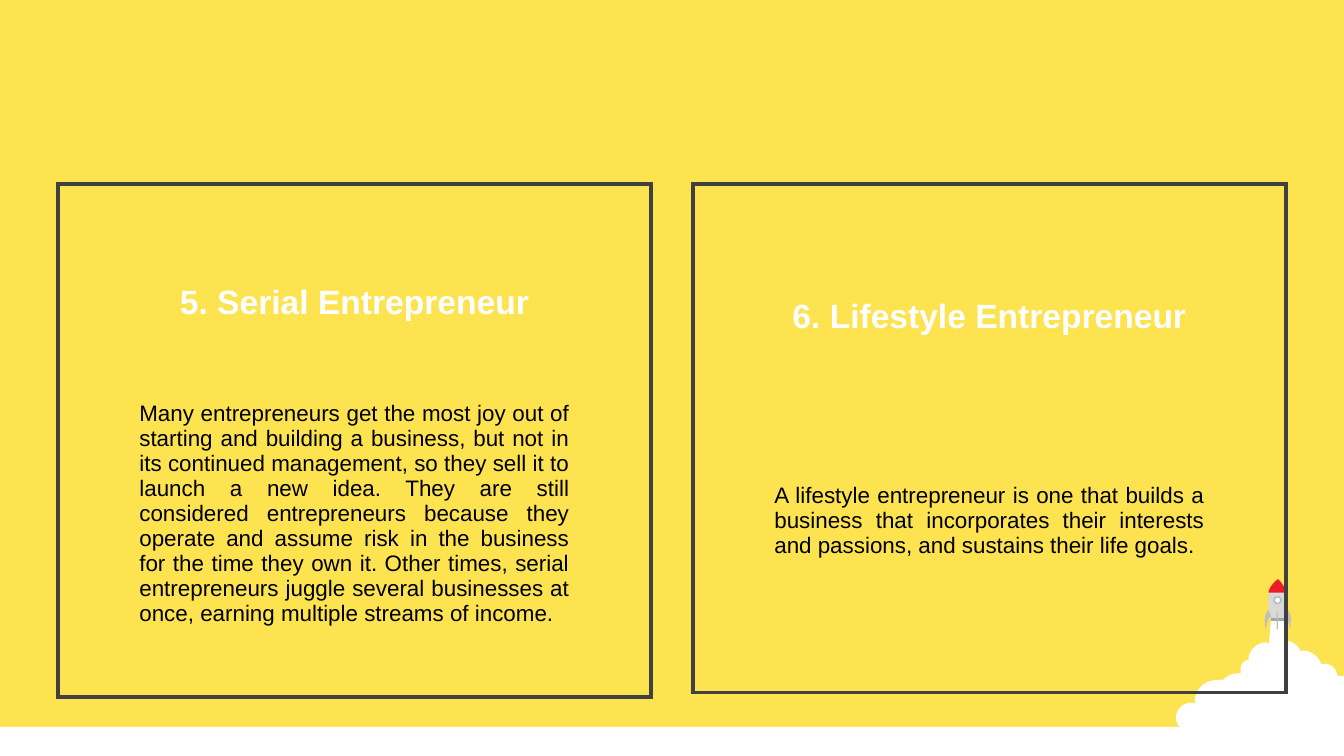
from lxml import etree
from pptx import Presentation
from pptx.dml.color import RGBColor
from pptx.enum.shapes import MSO_SHAPE
from pptx.enum.text import MSO_ANCHOR, PP_ALIGN
from pptx.oxml.ns import qn
from pptx.util import Cm, Pt

RECTANGLE, OVAL = MSO_SHAPE.RECTANGLE, MSO_SHAPE.OVAL
MIDDLE = MSO_ANCHOR.MIDDLE
CENTER, JUSTIFY = PP_ALIGN.CENTER, PP_ALIGN.JUSTIFY
YELLOW, WHITE, BLACK, FRAME = "FDE350", "FFFFFF", "000000", "404040"
SILVER, LIGHT, GREY, RED = "BFBFBF", "D9D9D9", "A6A6A6", "ED1C24"
UNIT = Cm(0.0254)  # drawing grid of the rocket: 1/100 inch


def paint(shape, color, line=None):
    shape.shadow.inherit = False
    shape.fill.solid()
    shape.fill.fore_color.rgb = RGBColor.from_string(color)
    if line:
        shape.line.color.rgb = RGBColor.from_string(line)
        shape.line.width = Pt(1)
    else:
        shape.line.fill.background()


def draw_outline(shapes, outline, color):
    """Two numbers are a corner, six are a Bézier curve."""
    points = [outline[0]]
    for step in outline[1:]:
        if len(step) == 2:
            points.append(step)
            continue
        (x0, y0), (x1, y1, x2, y2, x3, y3) = points[-1], step
        for i in range(1, 9):
            t = i / 8
            u = 1 - t
            a, b, c, d = u**3, 3 * u * u * t, 3 * u * t * t, t**3
            points.append((a * x0 + b * x1 + c * x2 + d * x3,
                           a * y0 + b * y1 + c * y2 + d * y3))
    # Finer local units keep the small curves smooth
    points = [(round(x * 100), round(y * 100)) for x, y in points]
    builder = shapes.build_freeform(*points[0], scale=UNIT / 100)
    builder.add_line_segments(points[1:], close=True)
    paint(builder.convert_to_shape(), color)


prs = Presentation()
prs.slide_width, prs.slide_height = Cm(25.4), Cm(14.29)
slide = prs.slides.add_slide(prs.slide_layouts[6])
slide.background.fill.solid()
slide.background.fill.fore_color.rgb = RGBColor.from_string(YELLOW)

# Ground strip
ground = slide.shapes.add_shape(RECTANGLE, 0, Cm(13.74), Cm(25.4), Cm(0.6))
paint(ground, WHITE)

# Rocket with its cloud of smoke
cloud = [
    (946, 459), (955, 459), (957, 477), (959, 477),
    (962, 478, 965, 480, 967, 483), (968, 485), (969, 484),
    (975, 484, 981, 488, 983, 494), (986, 494),
    (990, 494, 994, 497, 995, 502), (995, 503), (1000, 503),
    (1000, 560), (998, 560), (994, 560, 990, 559, 987, 557),
    (986, 556), (985, 557), (983, 558, 981, 559, 978, 559),
    (975, 559, 973, 557, 971, 555), (969, 554), (969, 555),
    (967, 558, 964, 559, 960, 559), (957, 559, 954, 558, 952, 556),
    (951, 555), (949, 556), (945, 559, 940, 561, 934, 561),
    (923, 561, 917, 556, 913, 551), (911, 553, 907, 554, 904, 553),
    (900, 552, 894, 550, 893, 545), (893, 543), (892, 544),
    (891, 545, 889, 545, 886, 545), (880, 545, 875, 540, 875, 534),
    (875, 528, 880, 523, 886, 523), (888, 523), (889, 524), (889, 522),
    (889, 513, 896, 506, 906, 506), (909, 506), (910, 506), (911, 505),
    (914, 502, 918, 501, 923, 501), (923, 498),
    (923, 495, 925, 492, 928, 491), (929, 491), (929, 489),
    (930, 483, 936, 478, 942, 478), (944, 479),
]
hull = [(946, 462), (944, 453, 940, 440, 951, 431),
        (962, 441, 958, 454, 956, 462)]
base = [(946, 460), (956, 460), (956, 462), (946, 462)]
nose = [(951, 431), (954, 434, 956, 437, 957, 441), (944, 441), (944, 440),
        (945, 437, 947, 434, 951, 431)]
left_fin = [(944, 454), (946, 459), (942, 461, 943, 466, 942, 468),
            (941, 465, 940, 457, 944, 454)]
right_fin = [(958, 454), (956, 459), (959, 461, 959, 466, 960, 468),
             (960, 465, 962, 457, 958, 454)]

rocket = slide.shapes.add_group_shape().shapes
for outline, color in ((cloud, WHITE), (hull, LIGHT), (base, GREY), (nose, RED)):
    draw_outline(rocket, outline, color)
porthole = rocket.add_shape(OVAL, Cm(24.08), Cm(11.28), Cm(0.13), Cm(0.13))
paint(porthole, WHITE, SILVER)
middle_fin = rocket.add_shape(RECTANGLE, Cm(24.13), Cm(11.56), Cm(0.02), Cm(0.33))
paint(middle_fin, SILVER)
for fin in (left_fin, right_fin):
    draw_outline(rocket, fin, SILVER)

# Framed cards: left edge, row heights, heading, description
cards = [
    (1.1, (1.73, 1.02, 0.33, 4.88, 0.51), "5. Serial Entrepreneur",
     "Many entrepreneurs get the most joy out of starting and building a "
     "business, but not in its continued management, so they sell it to launch "
     "a new idea. They are still considered entrepreneurs because they operate "
     "and assume risk in the business for the time they own it. Other times, "
     "serial entrepreneurs juggle several businesses at once, earning multiple "
     "streams of income."),
    (13.1, (1.93, 1.17, 0.38, 4.45, 0.56), "6. Lifestyle Entrepreneur",
     "A lifestyle entrepreneur is one that builds a business that incorporates "
     "their interests and passions, and sustains their life goals."),
]
column_widths = (1.28, 8.64, 1.28)

for left, row_heights, heading, description in cards:
    card = slide.shapes.add_table(5, 3, Cm(left), Cm(3.48), Cm(sum(column_widths)),
                                  Cm(sum(row_heights))).table
    card.first_row = card.horz_banding = False
    for column, width in zip(card.columns, column_widths):
        column.width = Cm(width)
    for row, height in zip(card.rows, row_heights):
        row.height = Cm(height)

    # Only the outer edges carry a line
    for r in range(5):
        for c in range(3):
            cell = card.cell(r, c)
            cell.fill.background()
            edges = (("a:lnL", c == 0), ("a:lnR", c == 2),
                     ("a:lnT", r == 0), ("a:lnB", r == 4))
            for position, (tag, outer) in enumerate(edges):
                edge = etree.Element(qn(tag), w=str(Pt(2.25)))
                if outer:
                    fill = etree.SubElement(edge, qn("a:solidFill"))
                    etree.SubElement(fill, qn("a:srgbClr"), val=FRAME)
                else:
                    etree.SubElement(edge, qn("a:noFill"))
                cell._tc.get_or_add_tcPr().insert(position, edge)

    # Heading and description
    for r, text, size, color, align in ((1, heading, 18, WHITE, CENTER),
                                        (3, description, 12, BLACK, JUSTIFY)):
        cell = card.cell(r, 1)
        cell.vertical_anchor = MIDDLE
        cell.text_frame.text = text
        paragraph = cell.text_frame.paragraphs[0]
        paragraph.alignment = align
        font = paragraph.runs[0].font
        font.name, font.size, font.bold = "Arial", Pt(size), r == 1
        font.color.rgb = RGBColor.from_string(color)

prs.save("out.pptx")
